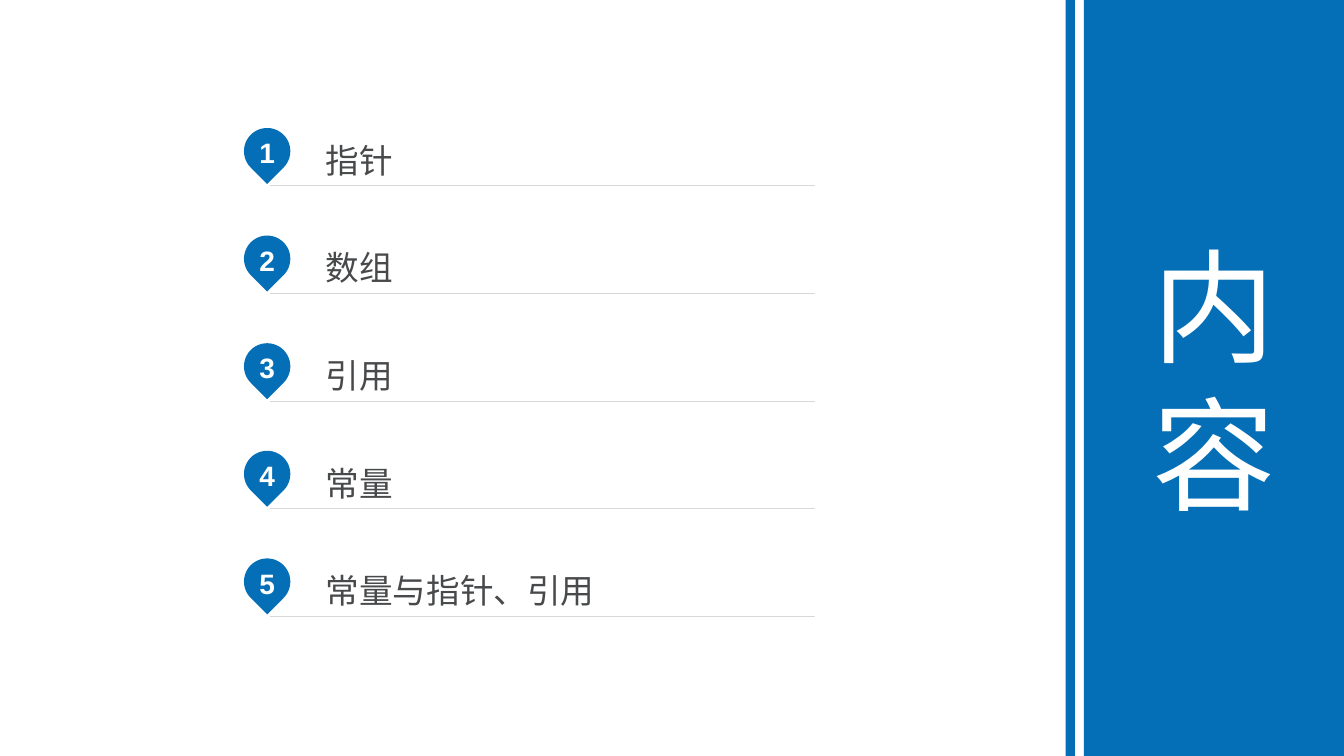
import math

from lxml import etree
from pptx import Presentation
from pptx import util as u
from pptx.dml.color import RGBColor
from pptx.enum import shapes, text
from pptx.oxml import ns

TOPICS = ["指针", "数组", "引用", "常量", "常量与指针、引用"]
FIRST_TOP, ROW_PITCH = 1.27, 1.0675
PIN_CENTER, PIN_RADIUS = 2.65, 0.23
LABEL_LEFT, LABEL_WIDTH, LABEL_HEIGHT = 2.68, 5.4, 0.55
SLIDE_WIDTH, SLIDE_HEIGHT, BAR_LEFT = 13.33, 7.5, 10.75


def color(value):
    return RGBColor.from_string(value)


def point(x, y):
    return u.Inches(x), u.Inches(y)


def write(shape, content, size, ink, bold=False, align=text.PP_ALIGN.CENTER,
          insets=(0.1, 0.05, 0.1, 0.05), spacing=None):
    """Fill a shape with one paragraph; insets run left, top, right, bottom."""
    frame = shape.text_frame
    frame.word_wrap = True
    frame.vertical_anchor = text.MSO_ANCHOR.MIDDLE
    (frame.margin_left, frame.margin_top,
     frame.margin_right, frame.margin_bottom) = map(u.Inches, insets)
    paragraph = frame.paragraphs[0]
    paragraph.alignment = align
    paragraph.line_spacing = spacing
    run = paragraph.add_run()
    run.text = content
    run.font.name = "Arial"
    run.font.size = u.Pt(size)
    run.font.bold = bold
    run.font.color.rgb = color(ink)


class ContentsSlide:
    BLUE, WHITE, GRAY, RULE = "046FB6", "FFFFFF", "47494B", "D7D7D7"

    def __init__(self, presentation):
        self.slide = presentation.slides.add_slide(presentation.slide_layouts[6])
        self.shapes = self.slide.shapes

    def paint(self, shape):
        shape.shadow.inherit = False
        shape.fill.solid()
        shape.fill.fore_color.rgb = color(self.BLUE)
        shape.line.fill.background()
        return shape

    def bar(self, left, width):
        return self.paint(self.shapes.add_shape(
            shapes.MSO_SHAPE.RECTANGLE, *point(left, 0), *point(width, SLIDE_HEIGHT)))

    def pin(self, top, number):
        """Draw a round marker whose sides run at 45 degrees to a tip below."""
        middle = top + PIN_RADIUS
        rim = [point(PIN_CENTER + PIN_RADIUS * math.cos(math.radians(angle)),
                     middle + PIN_RADIUS * math.sin(math.radians(angle)))
               for angle in (135, 180, 270, 360, 405)]
        builder = self.shapes.build_freeform(
            *point(PIN_CENTER, middle + PIN_RADIUS * math.sqrt(2)))
        builder.add_line_segments(rim, close=True)
        shape = self.paint(builder.convert_to_shape())
        self.round_rim(shape)
        write(shape, str(number), 20, self.WHITE, bold=True, insets=(0.1, 0.05, 0.1, 0.12))

    def round_rim(self, shape):
        """Replace the straight chords after the first side by one arc."""
        side, *chords = shape._element.findall(".//" + ns.qn("a:lnTo"))
        radius = str(u.Inches(PIN_RADIUS))
        arc = etree.Element(ns.qn("a:arcTo"), wR=radius, hR=radius,
                            stAng=str(135 * 60000), swAng=str(270 * 60000))
        side.addnext(arc)
        for chord in chords:
            chord.getparent().remove(chord)

    def label(self, top, topic):
        """Draw an underlined text area; a bare point at its top sets its height."""
        bottom = top + LABEL_HEIGHT
        corner = point(LABEL_LEFT, top)
        builder = self.shapes.build_freeform(*point(LABEL_LEFT, bottom))
        builder.add_line_segments([point(LABEL_LEFT + LABEL_WIDTH, bottom)], close=True)
        builder.move_to(*corner)
        builder.add_line_segments([corner], close=True)
        shape = builder.convert_to_shape()
        shape.shadow.inherit = False
        shape.fill.background()
        shape.line.color.rgb = color(self.RULE)
        shape.line.width = u.Pt(0.25)
        write(shape, topic, 24, self.GRAY, align=text.PP_ALIGN.LEFT,
              insets=(0.55, 0, 0, 0.04), spacing=1.2)


def main():
    presentation = Presentation()
    presentation.slide_width, presentation.slide_height = point(SLIDE_WIDTH, SLIDE_HEIGHT)
    contents = ContentsSlide(presentation)
    for row, topic in enumerate(TOPICS):
        top = FIRST_TOP + row * ROW_PITCH
        contents.pin(top, row + 1)
        contents.label(top + 0.02, topic)
    write(contents.bar(BAR_LEFT, SLIDE_WIDTH - BAR_LEFT), "内容", 88, contents.WHITE)
    contents.bar(10.57, 0.09)
    presentation.save("out.pptx")


if __name__ == "__main__":
    main()
